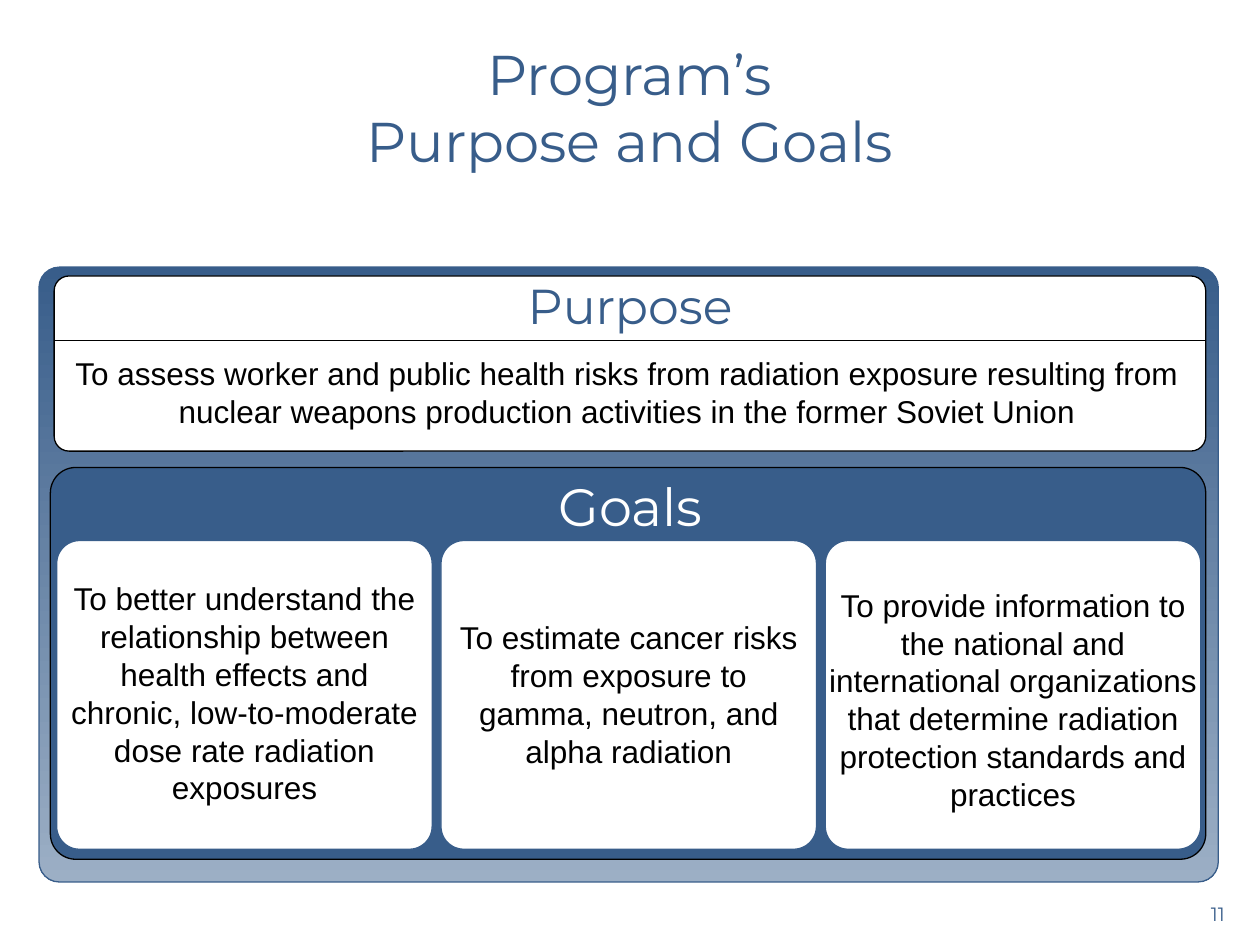
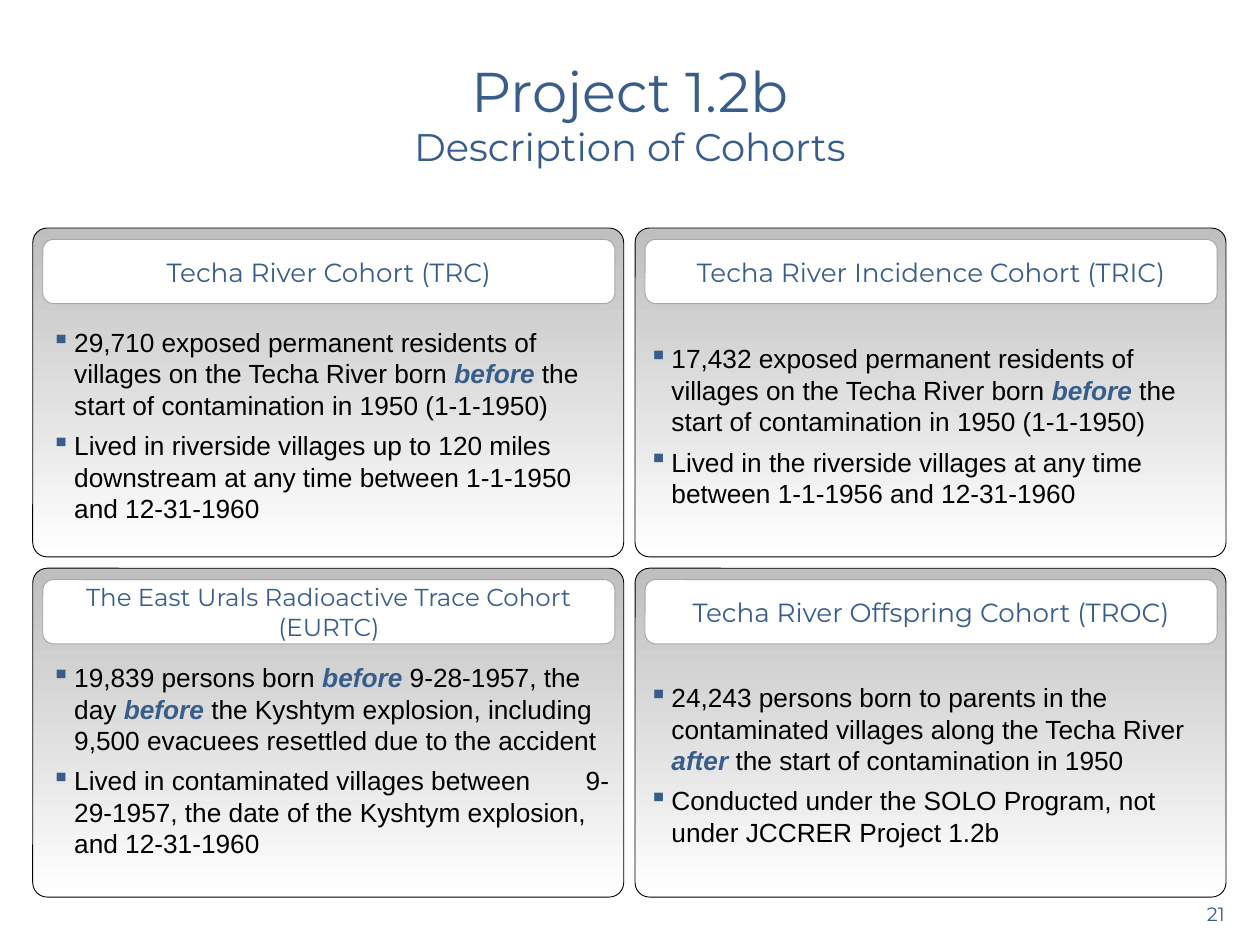
from lxml import etree
from pptx import Presentation
from pptx.dml.color import RGBColor
from pptx.enum.shapes import MSO_CONNECTOR, MSO_SHAPE
from pptx.enum.text import MSO_ANCHOR, PP_ALIGN
from pptx.oxml.ns import qn
from pptx.util import Inches, Pt

COLORS = {
    "blue": "385D8A",
    "pale_blue": "9CAFC5",
    "silver": "BFBFBF",
    "gray": "A6A6A6",
    "white": "FFFFFF",
    "black": "000000",
}
HEADING_FONT = "Montserrat"
BODY_FONT = "Arial"


def rgb(name):
    return RGBColor.from_string(COLORS[name])


def style_run(run, font, size, color):
    run.font.name = font
    run.font.size = Pt(size)
    run.font.color.rgb = rgb(color)


def add_panel(slide, box, fill, line, line_width=0.75, radius=0.1667):
    """Rounded panel; a pair of fill colours gives a top-to-bottom gradient."""
    panel = slide.shapes.add_shape(MSO_SHAPE.ROUNDED_RECTANGLE, *map(Inches, box))
    panel.shadow.inherit = False
    panel.adjustments[0] = radius
    if isinstance(fill, tuple):
        panel.fill.gradient()
        panel.fill.gradient_angle = 270
        for stop, color in zip(panel.fill.gradient_stops, fill):
            stop.color.rgb = rgb(color)
    else:
        panel.fill.solid()
        panel.fill.fore_color.rgb = rgb(fill)
    panel.line.color.rgb = rgb(line)
    panel.line.width = Pt(line_width)
    return panel


def add_text_frame(slide, box, anchor=MSO_ANCHOR.TOP, side_inset=0.1):
    text_frame = slide.shapes.add_textbox(*map(Inches, box)).text_frame
    text_frame.word_wrap = True
    text_frame.vertical_anchor = anchor
    text_frame.margin_left = text_frame.margin_right = Inches(side_inset)
    return text_frame


def add_text(slide, box, lines, font=HEADING_FONT, color="blue",
             align=PP_ALIGN.CENTER, **frame_options):
    """Text box with one paragraph for each (text, size) pair."""
    text_frame = add_text_frame(slide, box, **frame_options)
    text_frame.text = "\n".join(text for text, _ in lines)
    for paragraph, (_, size) in zip(text_frame.paragraphs, lines):
        paragraph.alignment = align
        style_run(paragraph.runs[0], font, size, color)


def add_title_and_number(slide, top, title_lines, number):
    add_text(slide, (0.1, top, 9.8, 1.13), title_lines, anchor=MSO_ANCHOR.MIDDLE)
    add_text(slide, (7.49, 7.11, 2.33, 0.23), [(number, 11)], align=PP_ALIGN.RIGHT)


def add_rule(slide, left, top, width):
    rule = slide.shapes.add_connector(
        MSO_CONNECTOR.STRAIGHT,
        Inches(left), Inches(top), Inches(left + width), Inches(top))
    rule.line.color.rgb = rgb("black")
    rule.line.width = Pt(0.75)
    etree.SubElement(rule._element.spPr, qn("a:effectLst"))


def add_bullets(slide, box, items):
    """Bulleted list; words between asterisks are emphasised."""
    text_frame = add_text_frame(slide, box)
    for index, item in enumerate(items):
        paragraph = text_frame.add_paragraph() if index else text_frame.paragraphs[0]
        paragraph.space_after = Pt(5)
        properties = paragraph._p.get_or_add_pPr()
        properties.set("marL", str(Inches(0.19)))
        properties.set("indent", str(Inches(-0.18)))
        bullet_color = etree.SubElement(properties, qn("a:buClr"))
        etree.SubElement(bullet_color, qn("a:srgbClr"), val=COLORS["blue"])
        etree.SubElement(properties, qn("a:buChar"), char="▪")
        if "\t" in item:
            tabs = etree.SubElement(properties, qn("a:tabLst"))
            etree.SubElement(tabs, qn("a:tab"), pos=str(Inches(4.25)), algn="l")
        for part, text in enumerate(item.split("*")):
            emphasised = part % 2 == 1
            run = paragraph.add_run()
            run.text = text
            style_run(run, BODY_FONT, 15, "blue" if emphasised else "black")
            run.font.bold = run.font.italic = emphasised


# Purpose and goals
GOALS = [  # text, text offset from card top, side inset
    ("To better understand the relationship between health effects and chronic, "
     "low-to-moderate dose rate radiation exposures", 0.26, 0.1),
    ("To estimate cancer risks from exposure to gamma, neutron, and alpha radiation",
     0.57, 0.1),
    ("To provide information to the national and international organizations that "
     "determine radiation protection standards and practices", 0.31, 0),
]


def add_purpose(slide, left, top, width, height):
    add_panel(slide, (left, top, width, height), "white", "black", radius=0.085)
    add_text(slide, (left, top - 0.05, width, 0.57), [("Purpose", 28)])
    add_rule(slide, left, top + 0.51, width)
    purpose = ("To assess worker and public health risks from radiation exposure "
               "resulting from nuclear weapons production activities in the former "
               "Soviet Union")
    add_text(slide, (left + 0.02, top + 0.57, width - 0.09, 0.71),
             [(purpose, 18)], BODY_FONT, "black")


def add_goals(slide, left, top, width, height):
    add_panel(slide, (left, top, width, height), "blue", "black", radius=0.065)
    add_text(slide, (left + 0.02, top, width, 0.61), [("Goals", 30)], color="white")
    card_width, card_height, pitch = 2.98, 2.45, 3.05
    card_top = top + 0.58
    for index, (goal, offset, inset) in enumerate(GOALS):
        card_left = left + 0.05 + index * pitch
        add_panel(slide, (card_left, card_top, card_width, card_height),
                  "white", "blue", radius=0.074)
        add_text(slide, (card_left, card_top + offset, card_width, 1.9),
                 [(goal, 18)], BODY_FONT, "black", side_inset=inset)


def build_purpose_slide(slide):
    add_title_and_number(
        slide, 0.28, [("Program’s", 32), ("Purpose and Goals", 32)], "11")
    add_panel(slide, (0.31, 2.12, 9.36, 4.88), ("blue", "pale_blue"), "blue",
              radius=0.033)
    add_purpose(slide, 0.43, 2.19, 9.14, 1.39)
    add_goals(slide, 0.4, 3.71, 9.17, 3.11)


# Cohorts
COHORTS = [  # heading lines, heading size, bullets offset from card top, bullets
    (["Techa River Cohort (TRC)"], 15, 0.73, [
        "29,710 exposed permanent residents of villages on the Techa River born "
        "*before* the start of contamination in 1950 (1-1-1950)",
        "Lived in riverside villages up to 120 miles downstream at any time between "
        "1-1-1950 and 12-31-1960"]),
    (["Techa River Incidence Cohort (TRIC)"], 15, 0.86, [
        "17,432 exposed permanent residents of villages on the Techa River born "
        "*before* the start of contamination in 1950 (1-1-1950)",
        "Lived in the riverside villages at any time between 1-1-1956 and "
        "12-31-1960"]),
    (["The East Urals Radioactive Trace Cohort", "(EURTC)"], 14, 0.69, [
        "19,839 persons born *before* 9-28-1957, the day *before* the Kyshtym "
        "explosion, including 9,500 evacuees resettled due to the accident",
        "Lived in contaminated villages between\t9-29-1957, the date of the Kyshtym "
        "explosion, and 12-31-1960"]),
    (["Techa River Offspring Cohort (TROC)"], 15, 0.85, [
        "24,243 persons born to parents in the contaminated villages along the Techa "
        "River *after* the start of contamination in 1950",
        "Conducted under the SOLO Program, not under JCCRER Project 1.2b"]),
]


def add_cohort(slide, box, heading, heading_size, bullets_left, bullets_top, bullets):
    left, top, width, height = box
    add_panel(slide, box, ("silver", "white"), "black", 0.5, 0.044)
    band = (left + 0.08, top + 0.09, width - 0.15, 0.51)
    add_panel(slide, band, "white", "gray", 0.5)
    add_text(slide, band, [(line, heading_size) for line in heading],
             anchor=MSO_ANCHOR.MIDDLE)
    add_bullets(slide, (left + bullets_left, top + bullets_top, 4.65, 1.7), bullets)


def build_cohorts_slide(slide):
    add_title_and_number(
        slide, 0.33, [("Project 1.2b", 32), ("Description of Cohorts", 22)], "21")
    for index, (heading, size, bullets_top, bullets) in enumerate(COHORTS):
        row, column = divmod(index, 2)
        box = (0.26 + column * 4.78, 1.81 + row * 2.7, 4.69, 2.61)
        bullets_left = 0 if column else 0.04
        add_cohort(slide, box, heading, size, bullets_left, bullets_top, bullets)


def main():
    presentation = Presentation()
    presentation.slide_width = Inches(10)
    presentation.slide_height = Inches(7.5)
    blank_layout = presentation.slide_layouts[6]
    for build_slide in (build_purpose_slide, build_cohorts_slide):
        build_slide(presentation.slides.add_slide(blank_layout))
    presentation.save("out.pptx")


if __name__ == "__main__":
    main()
